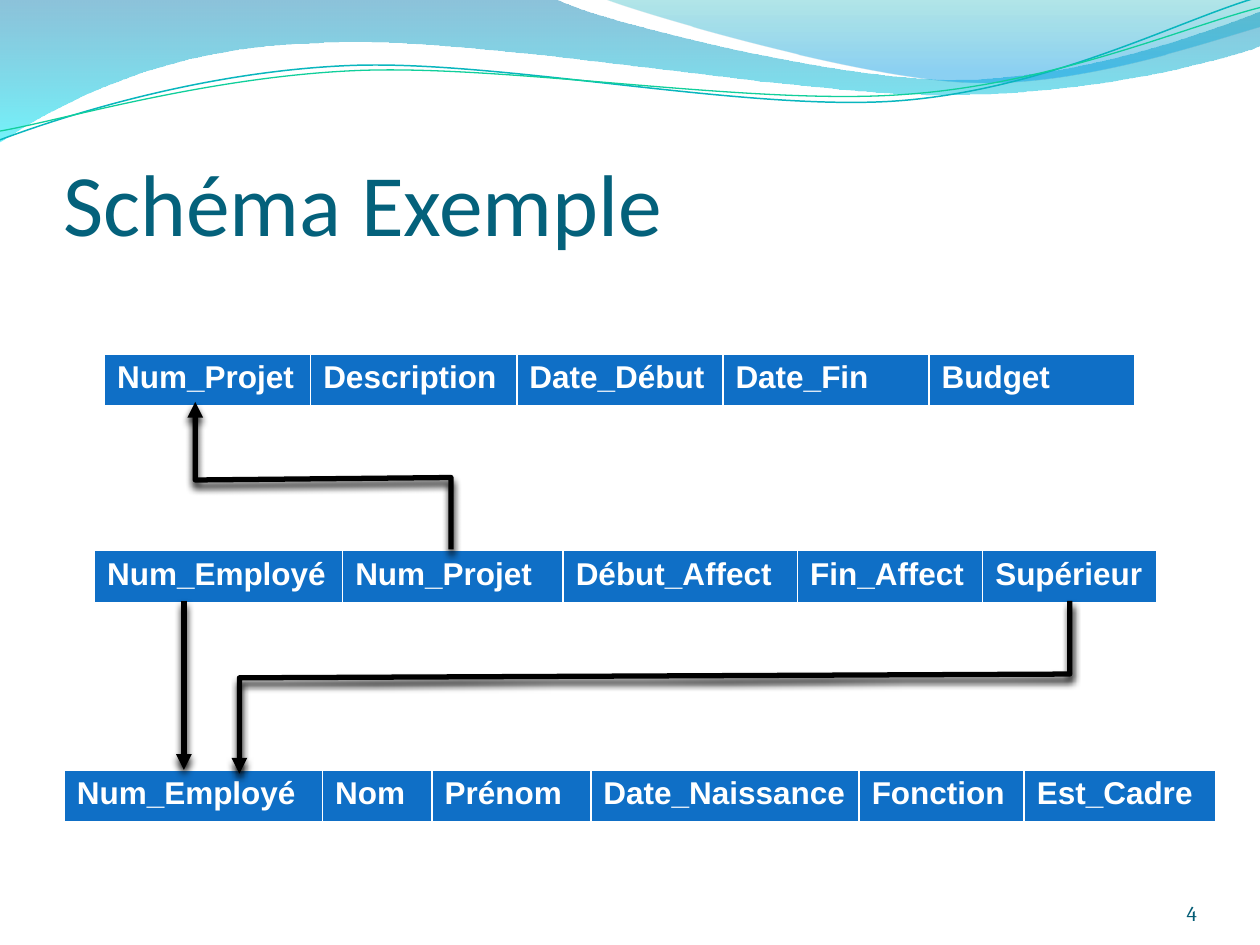
import math
from dataclasses import dataclass

import lxml.etree
import pptx
import pptx.dml.color
import pptx.enum.text
import pptx.oxml.ns
import pptx.util
from pptx.util import Inches


@dataclass(frozen=True)
class Theme:
    title: str = "04617B"
    number: str = "035C75"
    cell: str = "0F6FC6"
    cell_text: str = "FFFFFF"
    link: str = "000000"
    title_size: int = 50
    cell_size: int = 18
    number_size: int = 12
    link_width: int = 3


@dataclass(frozen=True)
class Box:
    left: float
    top: float
    width: float
    height: float

    def lengths(self):
        return [Inches(v) for v in (self.left, self.top, self.width, self.height)]

    def point(self, x, y):
        return Inches(self.left + x), Inches(self.top + y)


THEME = Theme()
STRAND_TILT = -2.7
STRAND_CENTER = (4.99, 0.58)

RIBBONS = [
    (
        [(0, 0), (4.4, -0.01),
         (4.76, 0.17, 6.64, 0.63, 7.58, 0.63), (8.53, 0.63, 9.58, 0.26, 10, 0.09),
         (10.01, 0.36),
         (9.83, 0.44, 8.7, 0.76, 7.46, 0.75), (6.22, 0.75, 3.82, 0.28, 2.57, 0.34),
         (1.29, 0.36, 0.46, 0.83, -0.01, 1.13), (0, 0)],
        [(0, "0079AD", 45), (1, "00E9F7", 55)],
    ),
    (
        [(4.79, -0.01),
         (5.09, 0.11, 6.82, 0.62, 7.69, 0.65), (8.56, 0.69, 9.61, 0.32, 10, 0.21),
         (10, 0), (4.79, -0.01)],
        [(0, "00ABB4", 30), (0.8, "0099E4", 45)],
    ),
]
STRANDS = [
    (
        [(0, 1.11), (0.48, 0.93, 1.58, 0.57, 2.77, 0.52),
         (3.95, 0.47, 5.93, 0.89, 7.13, 0.8), (8.33, 0.71, 9.38, 0.15, 9.98, -0.02)],
        "09B6BE", 0.85,
    ),
    (
        [(0, 1.04), (0.47, 0.96, 1.64, 0.61, 2.83, 0.56),
         (4.03, 0.51, 5.97, 0.84, 7.17, 0.75), (8.36, 0.67, 9.41, 0.21, 10, 0.06)],
        "10CF9B", 0.75,
    ),
]
RELATIONS = [
    (Box(0.83, 2.81, 8.18, 0.41),
     ["Num_Projet", "Description", "Date_Début", "Date_Fin", "Budget"],
     [8.18 / 5] * 5),
    (Box(0.51, 6.11, 9.14, 0.41),
     ["Num_Employé", "Nom", "Prénom", "Date_Naissance", "Fonction", "Est_Cadre"],
     [2.05, 0.87, 1.26, 2.13, 1.31, 1.52]),
    (Box(0.75, 4.37, 8.43, 0.41),
     ["Num_Employé", "Num_Projet", "Début_Affect", "Fin_Affect", "Supérieur"],
     [1.97, 1.75, 1.86, 1.47, 1.38]),
]


def color(value):
    return pptx.dml.color.RGBColor.from_string(value)


def add_element(parent, name, **attributes):
    return lxml.etree.SubElement(parent, pptx.oxml.ns.qn(name), attributes)


def pairs(step):
    return list(zip(step[::2], step[1::2]))


def turn(step, degrees, center):
    cosine, sine = math.cos(math.radians(degrees)), math.sin(math.radians(degrees))
    turned = []
    for x, y in pairs(step):
        dx, dy = x - center[0], y - center[1]
        turned += [center[0] + dx * cosine - dy * sine,
                   center[1] + dx * sine + dy * cosine]
    return tuple(turned)


def add_outline(page, box, steps, close=False):
    places = [box.point(x, y) for step in steps for x, y in pairs(step)]
    builder = page.shapes.build_freeform(*places[0])
    builder.add_line_segments(places[1:], close=close)
    shape = builder.convert_to_shape()
    shape.shadow.inherit = False
    outline = shape.element.spPr.find(".//" + pptx.oxml.ns.qn("a:path"))
    nodes = iter(list(outline)[1:])
    for step in steps[1:]:
        segment = [next(nodes) for _ in pairs(step)]
        if len(segment) == 3:
            curve = add_element(outline, "a:cubicBezTo")
            segment[0].addprevious(curve)
            for node in segment:
                curve.append(node[0])
                outline.remove(node)
    return shape


def style_line(shape, value, width):
    shape.line.color.rgb = color(value)
    shape.line.width = pptx.util.Pt(width)


def style_text(frame, font_name, size, value, align, bold=False):
    para = frame.paragraphs[0]
    para.alignment = align
    for span in para.runs:
        span.font.name = font_name
        span.font.size = pptx.util.Pt(size)
        span.font.bold = bold
        span.font.color.rgb = color(value)


def set_margins(frame, top=0):
    frame.margin_left = frame.margin_right = frame.margin_bottom = 0
    frame.margin_top = Inches(top)
    frame.vertical_anchor = pptx.enum.text.MSO_ANCHOR.BOTTOM
    frame.auto_size = pptx.enum.text.MSO_AUTO_SIZE.NONE
    frame.word_wrap = True


def draw_waves(page, box):
    for steps, stops in RIBBONS:
        ribbon = add_outline(page, box, steps, close=True)
        ribbon.line.fill.background()
        ribbon.fill.gradient()
        ribbon.fill.gradient_angle = 270
        for stop, (position, value, _) in zip(ribbon.fill.gradient_stops, stops):
            stop.position = position
            stop.color.rgb = color(value)
        tints = ribbon.element.spPr.findall(".//" + pptx.oxml.ns.qn("a:srgbClr"))
        for tint, (_, _, opacity) in zip(tints, stops):
            add_element(tint, "a:alpha", val=str(opacity * 1000))
    for steps, value, width in STRANDS:
        level = [turn(step, -STRAND_TILT, STRAND_CENTER) for step in steps]
        strand = add_outline(page, box, level)
        strand.rotation = STRAND_TILT
        strand.fill.background()
        style_line(strand, value, width)


def draw_title(page, box, text):
    title = page.shapes.title
    title.left, title.top, title.width, title.height = box.lengths()
    title.text_frame.text = text
    set_margins(title.text_frame, top=0.05)
    style_text(title.text_frame, "Calibri", THEME.title_size, THEME.title,
               pptx.enum.text.PP_ALIGN.LEFT)
    title.element.getparent().append(title.element)


def draw_number(page, box, text):
    frame = page.shapes.add_textbox(*box.lengths()).text_frame
    frame.text = text
    set_margins(frame)
    style_text(frame, "Cambria", THEME.number_size, THEME.number,
               pptx.enum.text.PP_ALIGN.RIGHT)


def draw_relation(page, box, names, widths):
    table = page.shapes.add_table(1, len(names), *box.lengths()).table
    table.horz_banding = False
    for column, cell, name, width in zip(table.columns, table.rows[0].cells, names, widths):
        column.width = Inches(width)
        cell.fill.solid()
        cell.fill.fore_color.rgb = color(THEME.cell)
        cell.text_frame.text = name
        style_text(cell.text_frame, "Arial", THEME.cell_size, THEME.cell_text,
                   pptx.enum.text.PP_ALIGN.LEFT, bold=True)


def draw_link(page, box, points):
    link = add_outline(page, box, points)
    link.fill.background()
    style_line(link, THEME.link, THEME.link_width)
    properties = link.element.spPr
    add_element(properties.find(pptx.oxml.ns.qn("a:ln")), "a:tailEnd", type="triangle")
    shadow = add_element(properties.find(pptx.oxml.ns.qn("a:effectLst")), "a:outerShdw",
                         blurRad=str(pptx.util.Pt(4.5)), dist=str(pptx.util.Pt(3)),
                         dir="5400000", rotWithShape="0")
    add_element(shadow, "a:srgbClr", val=THEME.link)


def draw_bent_link(page, box, bend_start, bend_end, upward=False):
    start, end = (box.height, 0) if upward else (0, box.height)
    draw_link(page, box, [(box.width, start), (box.width, bend_start),
                          (0, bend_end), (0, end)])


def main():
    deck = pptx.Presentation()
    deck.slide_width, deck.slide_height = Inches(10), Inches(7.5)
    page = deck.slides.add_slide(deck.slide_layouts[5])
    draw_waves(page, Box(0, 0, 10, 1.13))
    draw_title(page, Box(0.5, 0.77, 9, 1.25), "Schéma Exemple")
    draw_number(page, Box(8.67, 6.95, 0.83, 0.4), "4")
    for box, names, widths in RELATIONS:
        draw_relation(page, box, names, widths)
    draw_bent_link(page, Box(1.55, 3.19, 2.03, 1.17), 0.6, 0.62, upward=True)
    draw_link(page, Box(1.46, 4.77, 0, 1.34), [(0, 0), (0, 1.34)])
    draw_bent_link(page, Box(1.9, 4.77, 6.59, 1.37), 0.58, 0.61)
    deck.save("out.pptx")


if __name__ == "__main__":
    main()
